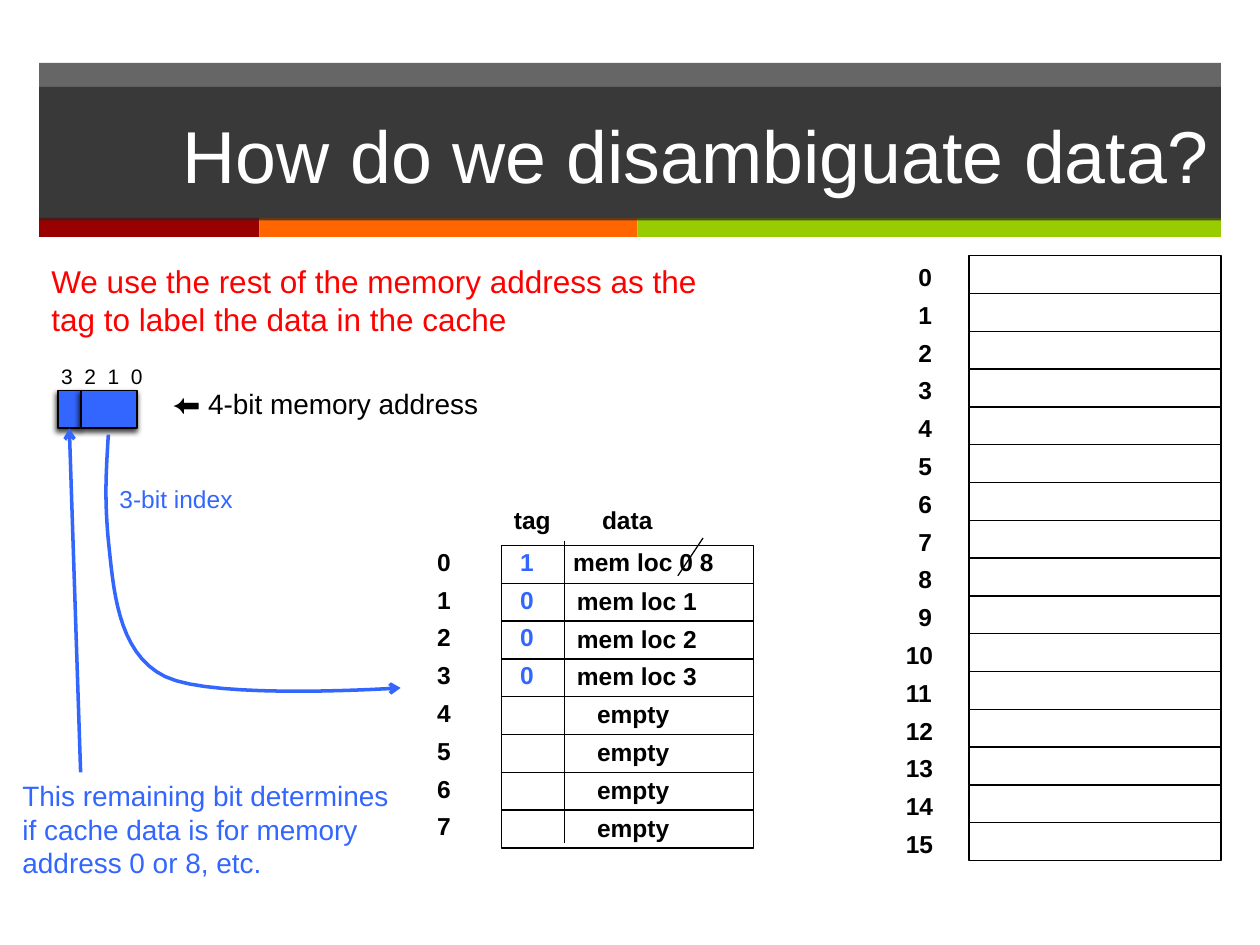
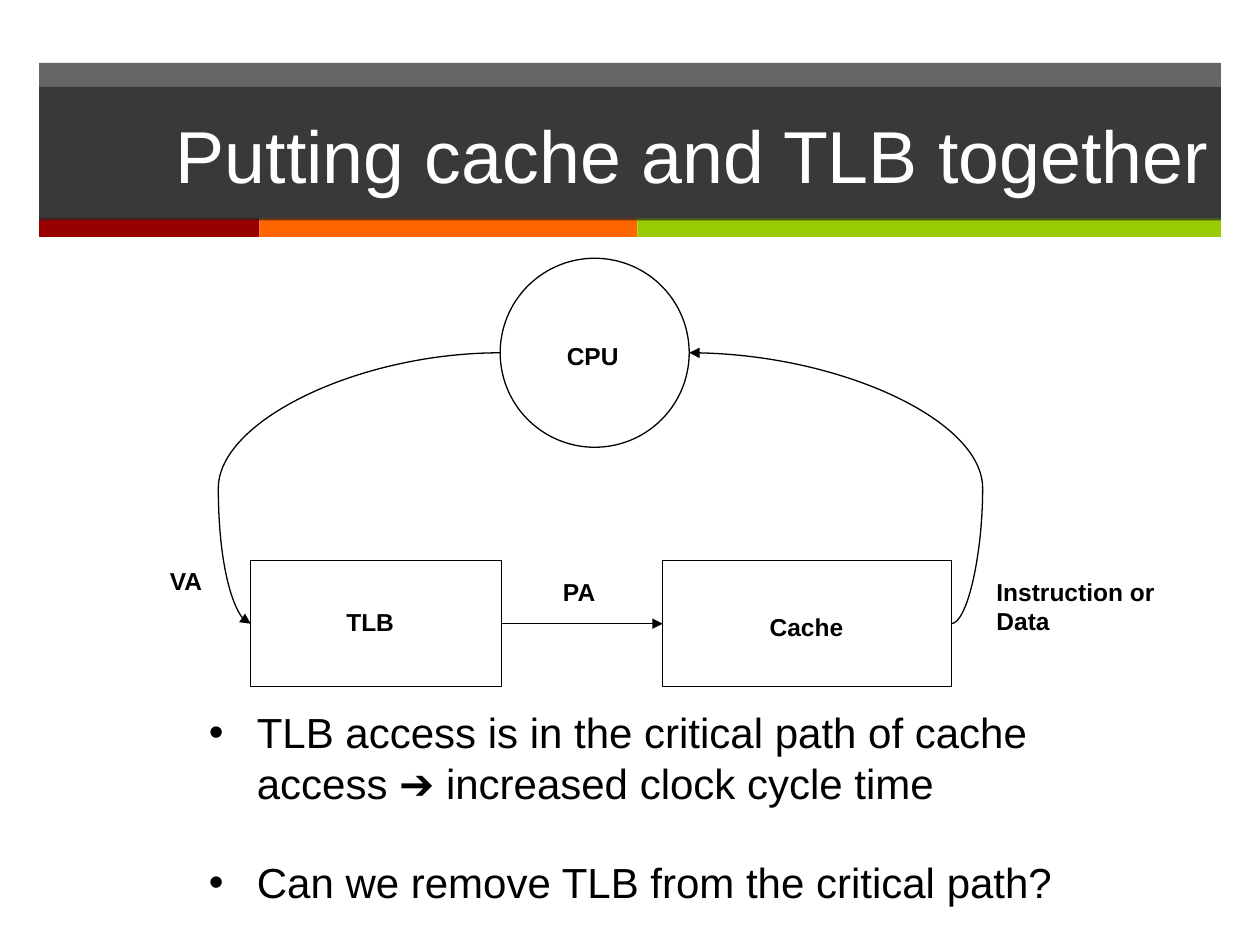
import dataclasses

import lxml.etree
import pptx
import pptx.dml.color
import pptx.enum.dml
import pptx.enum.shapes
import pptx.enum.text
import pptx.oxml
import pptx.oxml.ns
import pptx.util

Inches = pptx.util.Inches
Pt = pptx.util.Pt
SHAPE = pptx.enum.shapes.MSO_SHAPE
CONNECTOR = pptx.enum.shapes.MSO_CONNECTOR
ALIGN = pptx.enum.text.PP_ALIGN
AUTO_SIZE = pptx.enum.text.MSO_AUTO_SIZE
qn = pptx.oxml.ns.qn


@dataclasses.dataclass(frozen=True)
class Theme:
    font: str = "Arial"
    ink: str = "000000"
    white: str = "FFFFFF"
    band: str = "262626"
    blue: str = "3366FF"
    red: str = "FF0000"
    stripes: tuple = (("990000", 1.75), ("FF6600", 3), ("99CC00", 4.63))
    band_opacity: int = 70
    title: int = 42
    bullet: int = 24
    lead: int = 18
    note: int = 16
    label: int = 14
    digit: int = 12
    thin: float = 0.75
    edge: float = 1
    thick: float = 2


def add_child(parent, tag, **attributes):
    child = lxml.etree.SubElement(parent, qn(tag))
    for name, value in attributes.items():
        child.set(name, str(value))
    return child


def write(para, text, font, size, color, bold=False, align=None, spacing=0):
    span = para.add_run()
    span.text = text
    span.font.name = font
    span.font.size = Pt(size)
    span.font.bold = bold
    span.font.color.rgb = pptx.dml.color.RGBColor.from_string(color)
    para.alignment = align
    if spacing:
        span.font._element.set("spc", str(round(spacing * 100)))


class Builder:
    def __init__(self, theme):
        self.theme = theme
        self.deck = pptx.Presentation()
        self.deck.slide_width = Inches(10)
        self.deck.slide_height = Inches(7.5)
        self.layout = self.deck.slide_layouts[5]
        self.page = None

    def start_page(self, title):
        first = self.page is None
        self.page = self.deck.slides.add_slide(self.layout)
        if first:
            self.add_shared_bands()
        box = self.page.shapes.title
        box.left, box.top = Inches(0.31), Inches(0.69)
        box.width, box.height = Inches(9.38), Inches(1.06)
        self.paint(box, self.theme.band, self.theme.band_opacity)
        frame = box.text_frame
        frame.auto_size = AUTO_SIZE.NONE
        frame.vertical_anchor = pptx.enum.text.MSO_ANCHOR.MIDDLE
        write(frame.paragraphs[0], title, self.theme.font, self.theme.title,
              self.theme.white, align=ALIGN.RIGHT)

    def add_shared_bands(self):
        left = 0.31
        bands = [self.shape(left, 0.5, 9.38, 1.24, fill=self.theme.band,
                            opacity=self.theme.band_opacity)]
        for color, width in self.theme.stripes:
            bands.append(self.shape(left, 1.73, width, 0.15, fill=color))
            left += width
        for index, band in enumerate(bands):
            band.element.xpath("./p:nvSpPr/p:cNvPr")[0].set("id", str(100 + index))
            self.layout.shapes.element.insert(2 + index, band.element)

    def paint(self, shape, color, opacity=100):
        shape.fill.solid()
        shape.fill.fore_color.rgb = pptx.dml.color.RGBColor.from_string(color)
        if opacity < 100:
            tint = shape.element.xpath("./p:spPr/a:solidFill/a:srgbClr")[0]
            add_child(tint, "a:alpha", val=opacity * 1000)

    def stroke(self, shape, color, weight, arrow=None):
        shape.line.color.rgb = pptx.dml.color.RGBColor.from_string(color)
        shape.line.width = Pt(weight)
        if arrow:
            add_child(shape.element.xpath("./p:spPr/a:ln")[0], "a:tailEnd", type=arrow)

    def shape(self, left, top, width, height, kind=SHAPE.RECTANGLE, fill=None,
              opacity=100, line=None, weight=None, shadow=False):
        shape = self.page.shapes.add_shape(
            kind, Inches(left), Inches(top), Inches(width), Inches(height))
        if fill:
            self.paint(shape, fill, opacity)
        else:
            shape.fill.background()
        if line:
            self.stroke(shape, line, weight or self.theme.thin)
        else:
            shape.line.fill.background()
        shape.shadow.inherit = False
        if shadow:
            effects = shape.element.xpath("./p:spPr/a:effectLst")[0]
            outer = add_child(effects, "a:outerShdw", blurRad=Pt(3), dist=Pt(2),
                              dir=110 * 60000, rotWithShape=0)
            tint = add_child(outer, "a:srgbClr", val=self.theme.ink)
            add_child(tint, "a:alpha", val=75000)
        return shape

    def text(self, left, top, width, height, *lines, size=None, color=None,
             wrap=True, **style):
        box = self.page.shapes.add_textbox(
            Inches(left), Inches(top), Inches(width), Inches(height))
        frame = box.text_frame
        frame.word_wrap = wrap
        frame.auto_size = AUTO_SIZE.SHAPE_TO_FIT_TEXT
        for index, line in enumerate(lines):
            para = frame.add_paragraph() if index else frame.paragraphs[0]
            write(para, line, self.theme.font, size or self.theme.label,
                  color or self.theme.ink, **style)
        return box

    def label(self, left, top, width, *lines, height=0.33, **style):
        return self.text(left, top, width, height, *lines, wrap=False, bold=True, **style)

    def bullets(self, left, top, width, height, *lines, gap):
        box = self.text(left, top, width, height, *lines, size=self.theme.bullet)
        for index, para in enumerate(box.text_frame.paragraphs):
            if index:
                para.space_before = Pt(gap)
            settings = para._p.get_or_add_pPr()
            settings.set("marL", str(Inches(0.38)))
            settings.set("indent", str(-Inches(0.38)))
            add_child(settings, "a:buFont", typeface=self.theme.font)
            add_child(settings, "a:buChar", char="•")

    def connector(self, start, end, kind=CONNECTOR.STRAIGHT, color=None, weight=None,
                  arrow=None, bend=None, begin_join=None, end_join=None):
        line = self.page.shapes.add_connector(
            kind, *(Inches(value) for value in (*start, *end)))
        if begin_join:
            line.begin_connect(*begin_join)
        if end_join:
            line.end_connect(*end_join)
        self.stroke(line, color or self.theme.ink, weight or self.theme.thin, arrow)
        add_child(line.element.spPr, "a:effectLst")
        if bend is not None:
            geometry = line.element.xpath("./p:spPr/a:prstGeom")[0]
            for guides in geometry.findall(qn("a:avLst")):
                geometry.remove(guides)
            add_child(add_child(geometry, "a:avLst"), "a:gd", name="adj1",
                      fmla=f"val {round(bend * 100000)}")

    def curve(self, start, segments, color, weight, arrow, steps=16):
        points, origin = [], start
        for first, second, end in segments:
            for step in range(1, steps + 1):
                t = step / steps
                weights = ((1 - t) ** 3, 3 * t * (1 - t) ** 2, 3 * t * t * (1 - t), t ** 3)
                corners = (origin, first, second, end)
                points.append(tuple(
                    Inches(sum(w * corner[axis] for w, corner in zip(weights, corners)))
                    for axis in (0, 1)))
            origin = end
        outline = self.page.shapes.build_freeform(Inches(start[0]), Inches(start[1]))
        outline.add_line_segments(points, close=False)
        shape = outline.convert_to_shape()
        shape.fill.background()
        self.stroke(shape, color, weight, arrow)
        shape.shadow.inherit = False


def build_disambiguation(builder):
    theme = builder.theme
    builder.start_page("How do we disambiguate data?")
    row_height = 0.3

    cache_top = 4.33
    tags = ("1", "0", "0", "0")
    contents = ("mem loc 0 8", "mem loc 1", "mem loc 2", "mem loc 3") + ("empty",) * 4
    for row, content in enumerate(contents):
        top = cache_top + row * row_height
        builder.shape(3.98, top, 2, row_height, line=theme.ink)
        builder.label(3.37, top - 0.04, 0.31, str(row))
        if row < len(tags):
            builder.label(4.03, top - 0.04, 0.31, tags[row], color=theme.blue)
        if row == 0:
            builder.label(4.45, top - 0.04, 1.47, content)
        elif content == "empty":
            builder.label(4.64, top - 0.03, 0.78, content)
        else:
            builder.label(4.48, top - 0.03, 1.26, content)
    builder.label(3.98, 3.96, 0.49, "tag")
    builder.label(4.68, 3.96, 0.6, "data")
    builder.connector((4.48, 4.29), (4.48, 6.69))
    builder.connector((5.38, 4.57), (5.58, 4.27))

    for address in range(16):
        top = 2.03 + address * row_height
        builder.shape(7.69, top, 2, row_height, line=theme.ink)
        left, width = (7.19, 0.31) if address < 10 else (7.09, 0.42)
        builder.label(left, top, width, str(address))

    for left, width in ((0.46, 0.18), (0.64, 0.45)):
        builder.shape(left, 3.1, width, 0.3, fill=theme.blue, line=theme.ink,
                      weight=theme.edge, shadow=True)
    builder.text(0.16, 2.84, 1.3, 0.3, "3 2 1 0", size=theme.digit,
                 align=ALIGN.CENTER, spacing=1.67)
    builder.text(1.27, 3.02, 3.02, 0.37, "⬅ 4-bit memory address", size=theme.note)

    builder.curve((0.86, 3.45),
                  (((0.84, 3.79), (0.83, 3.95), (0.86, 4.29)),
                   ((0.9, 4.64), (0.92, 5.18), (1.31, 5.37)),
                   ((1.7, 5.56), (3.18, 5.46), (3.18, 5.46))),
                  theme.blue, theme.thick, "arrow")
    builder.text(0.85, 3.79, 3.13, 0.34, "3-bit index", color=theme.blue)
    builder.connector((0.64, 6.13), (0.55, 3.4), color=theme.blue,
                      weight=theme.thick, arrow="arrow")
    builder.text(0.08, 6.13, 3.13, 0.91,
                 "This remaining bit determines if cache data is for memory address 0 or 8, etc.",
                 size=theme.note, color=theme.blue)
    builder.text(0.31, 2.03, 5.43, 0.71,
                 "We use the rest of the memory address as the tag to label the data in the cache",
                 size=theme.lead, color=theme.red)


def build_cache_and_tlb(builder):
    theme = builder.theme
    builder.start_page("Putting cache and TLB together")
    tlb = builder.shape(1.99, 4.45, 1.99, 1, line=theme.ink)
    cache = builder.shape(5.26, 4.45, 2.29, 1, line=theme.ink)
    builder.shape(3.97, 2.05, 1.5, 1.5, kind=SHAPE.OVAL, line=theme.ink)

    builder.connector((3.98, 4.95), (5.26, 4.95), arrow="triangle",
                      begin_join=(tlb, 3), end_join=(cache, 1))
    builder.connector((3.97, 2.8), (1.99, 4.95), kind=CONNECTOR.CURVE,
                      arrow="triangle", bend=1.13)
    builder.connector((7.55, 4.95), (5.47, 2.8), kind=CONNECTOR.CURVE,
                      arrow="triangle", bend=-0.12)

    for left, top, width, name in ((2.65, 4.77, 0.69, "TLB"), (1.25, 4.44, 0.47, "VA"),
                                   (6.01, 4.81, 0.94, "Cache"), (4.37, 4.53, 0.47, "PA"),
                                   (4.4, 2.66, 0.67, "CPU")):
        builder.label(left, top, width, name)
    builder.label(7.81, 4.53, 1.56, "Instruction or", "Data", height=0.57)
    builder.bullets(1.56, 5.56, 7.81, 1.72,
                    "TLB access is in the critical path of cache access ➔ increased clock cycle time",
                    "Can we remove TLB from the critical path?", gap=28)


def main():
    builder = Builder(Theme())
    build_disambiguation(builder)
    build_cache_and_tlb(builder)
    builder.deck.save("out.pptx")


if __name__ == "__main__":
    main()
